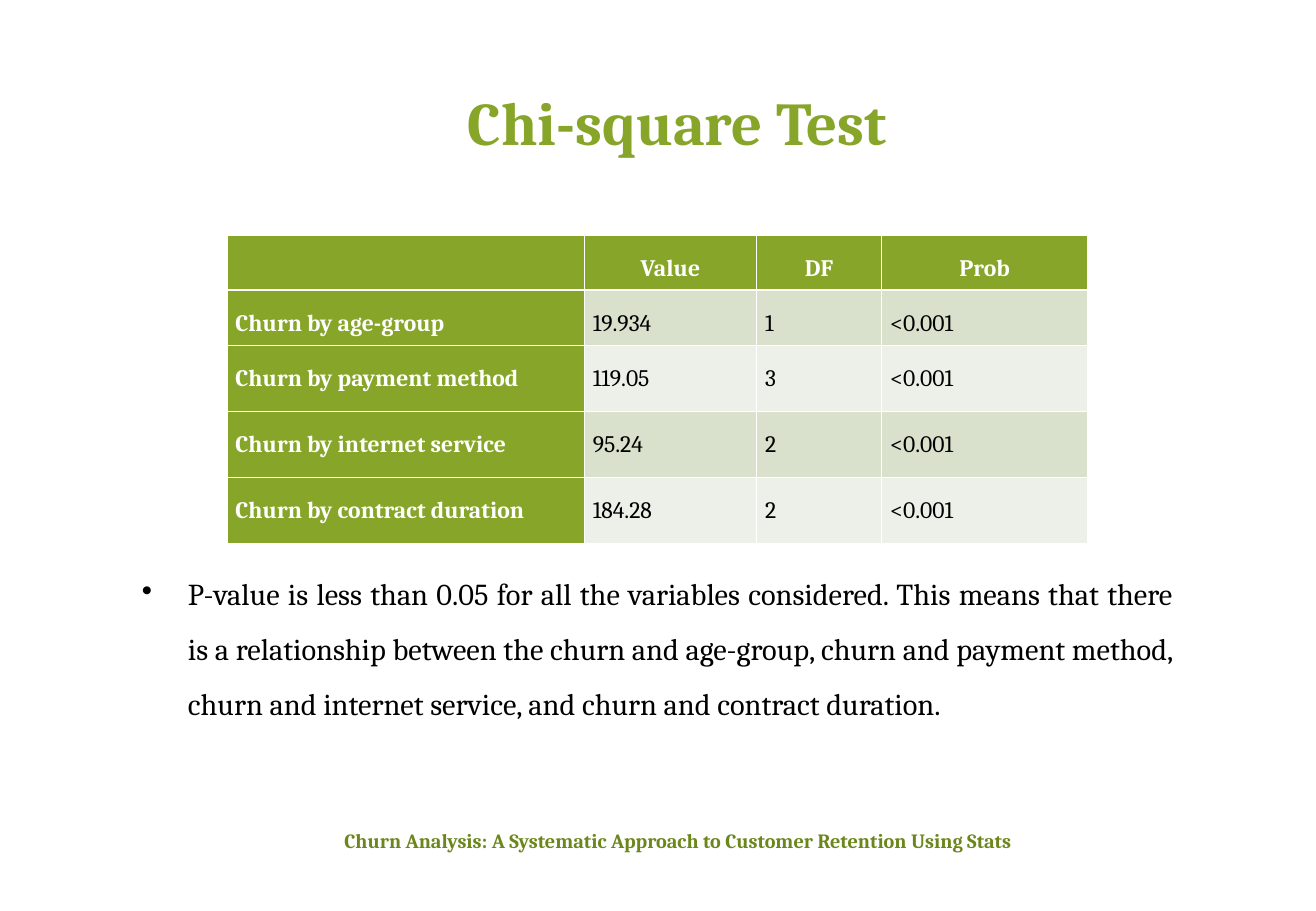
import pptx
import pptx.util
import pptx.dml.color
import pptx.enum.text
import pptx.oxml
import pptx.oxml.ns

INK = {
    "green": "87A529",
    "moss": "6B871B",
    "sage": "D9E1CD",
    "mist": "EDF0E8",
    "white": "FFFFFF",
    "black": "000000",
}
ALIGN = pptx.enum.text.PP_ALIGN
ANCHOR = pptx.enum.text.MSO_ANCHOR
SPACE = pptx.oxml.ns.nsdecls("a")


class Deck:
    font = "Cambria"

    def __init__(self, width, height):
        self.file = pptx.Presentation()
        self.file.slide_width = pptx.util.Inches(width)
        self.file.slide_height = pptx.util.Inches(height)
        self.slide = self.file.slides.add_slide(self.file.slide_layouts[6])

    def col(self, share):
        return round(self.file.slide_width * share / 100)

    def row(self, share):
        return round(self.file.slide_height * share / 100)

    def area(self, left, top, width, height):
        return self.col(left), self.row(top), self.col(width), self.row(height)

    def words(self, para, text, size, ink, bold=False, align=ALIGN.CENTER):
        para.alignment = align
        run = para.add_run()
        run.text = text
        run.font.name = self.font
        run.font.size = pptx.util.Pt(size)
        run.font.bold = bold
        run.font.color.rgb = pptx.dml.color.RGBColor.from_string(INK[ink])

    def box(self, area, anchor, inset):
        frame = self.slide.shapes.add_textbox(*self.area(*area)).text_frame
        frame.word_wrap = True
        frame.vertical_anchor = anchor
        across, down = (pptx.util.Inches(x) for x in inset)
        frame.margin_left = frame.margin_right = across
        frame.margin_top = frame.margin_bottom = down
        return frame.paragraphs[0]

    def label(self, area, text, size, ink, inset):
        para = self.box(area, ANCHOR.MIDDLE, inset)
        self.words(para, text, size, ink, True)

    def bullet(self, area, text, size):
        para = self.box(area, ANCHOR.TOP, (0.1, 0.05))
        para.line_spacing = 1.5
        props = para._p.get_or_add_pPr()
        indent = pptx.util.Inches(0.38)
        props.set("marL", str(indent))
        props.set("indent", str(-indent))
        props.append(pptx.oxml.parse_xml(
            f'<a:buClr {SPACE}><a:srgbClr val="{INK["black"]}"/></a:buClr>'))
        props.append(pptx.oxml.parse_xml(f'<a:buChar {SPACE} char="•"/>'))
        self.words(para, text, size, "black", align=ALIGN.JUSTIFY)

    def edge(self, cell, side, width):
        cell._tc.get_or_add_tcPr().append(pptx.oxml.parse_xml(
            f'<a:ln{side} {SPACE} w="{pptx.util.Pt(width)}"><a:solidFill>'
            f'<a:srgbClr val="{INK["white"]}"/></a:solidFill></a:ln{side}>'))

    def cell(self, cell, text, r, c):
        thick = {"T": r == 1, "B": r == 0}
        for side in "LRTB":
            self.edge(cell, side, 1.47 if thick.get(side) else 0.45)
        head = r == 0 or c == 0
        fill = "green" if head else "sage" if r % 2 else "mist"
        cell.fill.solid()
        cell.fill.fore_color.rgb = pptx.dml.color.RGBColor.from_string(INK[fill])
        cell.margin_left = cell.margin_right = pptx.util.Inches(0.07)
        cell.margin_top = cell.margin_bottom = pptx.util.Inches(0.05)
        if text:
            para = cell.text_frame.paragraphs[0]
            para.line_spacing = 1.5
            para.space_after = pptx.util.Pt(10)
            self.words(para, text, 14, "white" if head else "black", head,
                       ALIGN.JUSTIFY if r else ALIGN.CENTER)

    def table(self, left, top, wide, tall, data):
        area = self.area(left, top, sum(wide), sum(tall))
        grid = self.slide.shapes.add_table(len(tall), len(wide), *area).table
        for c, share in enumerate(wide):
            grid.columns[c].width = self.col(share)
        for r, line in enumerate(data):
            grid.rows[r].height = self.row(tall[r])
            for c, text in enumerate(line):
                self.cell(grid.cell(r, c), text, r, c)


def main():
    deck = Deck(10.84, 7.5)
    deck.label((8.67, 8, 85.6, 10.53), "Chi-square Test", 36, "green", (0, 0))
    deck.label((15.13, 89.6, 72.8, 5.33),
               "Churn Analysis: A Systematic Approach to Customer Retention Using Stats",
               12, "moss", (0.12, 0))
    deck.table(17.25, 25.87, (27.15, 13.1, 9.5, 15.65), (5.8, 5.8, 7.25, 7.25, 7.25), (
        ("", "Value", "DF", "Prob"),
        ("Churn by age-group", "19.934", "1", "<0.001"),
        ("Churn by payment method", "119.05", "3", "<0.001"),
        ("Churn by internet service", "95.24", "2", "<0.001"),
        ("Churn by contract duration", "184.28", "2", "<0.001"),
    ))
    deck.bullet((9.87, 60.53, 80.17, 25.33),
                "P-value is less than 0.05 for all the variables considered. "
                "This means that there is a relationship between the churn and "
                "age-group, churn and payment method, churn and internet service, "
                "and churn and contract duration.", 18)
    deck.file.save("out.pptx")


if __name__ == "__main__":
    main()
